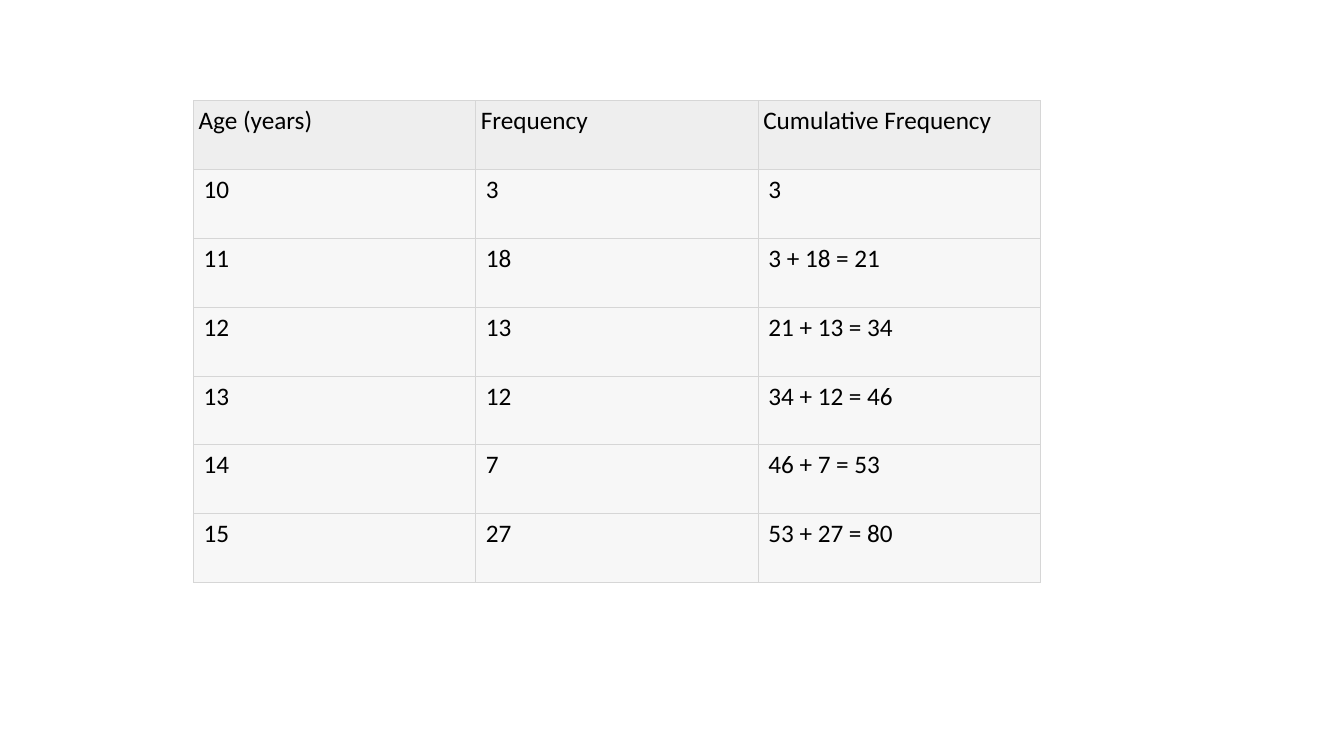
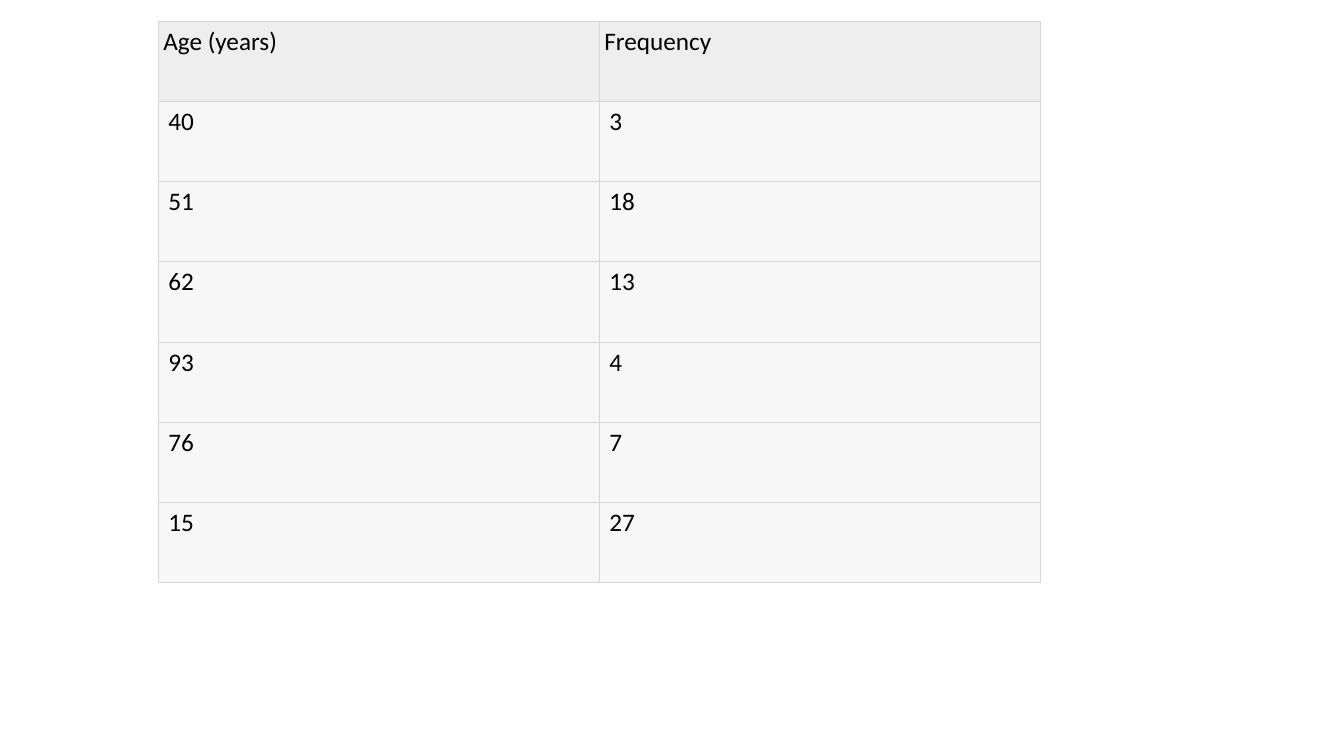
import pptx
import pptx.dml.color
import pptx.oxml
import pptx.util
from pptx.oxml.ns import nsdecls

Inches = pptx.util.Inches
Pt = pptx.util.Pt

COLORS = {
    "header": "EEEEEE",
    "body": "F7F7F7",
    "border": "D6D6D6",
    "text": "000000",
}
FONT_FORMAT = {"name": "Calibri", "size": Pt(18), "bold": False}
HEADER_MARGINS = {
    f"margin_{side}": Inches(0.05) for side in ("left", "right", "top", "bottom")
}
PLAIN_TABLE = {"first_row": False, "horz_banding": False}
BORDER_WIDTH = Pt(0.75)
BLANK_LAYOUT = 6

CUMULATIVE_ROWS = [
    ("Age (years)", "Frequency", "Cumulative Frequency"),
    ("10", "3", "3"),
    ("11", "18", "3 + 18 = 21"),
    ("12", "13", "21 + 13 = 34"),
    ("13", "12", "34 + 12 = 46"),
    ("14", "7", "46 + 7 = 53"),
    ("15", "27", "53 + 27 = 80"),
]
FREQUENCY_ROWS = [
    ("Age (years)", "Frequency"),
    ("40", "3"),
    ("51", "18"),
    ("62", "13"),
    ("93", "4"),
    ("76", "7"),
    ("15", "27"),
]


def rgb(name):
    return pptx.dml.color.RGBColor.from_string(COLORS[name])


def apply_format(target, values):
    for attribute, value in values.items():
        setattr(target, attribute, value)


def add_borders(cell):
    """Outline all four sides; call before filling, as the schema puts lines first."""
    properties = cell._tc.get_or_add_tcPr()
    for side in ("lnL", "lnR", "lnT", "lnB"):
        properties.append(pptx.oxml.parse_xml(
            f'<a:{side} {nsdecls("a")} w="{BORDER_WIDTH}"><a:solidFill>'
            f'<a:srgbClr val="{COLORS["border"]}"/></a:solidFill></a:{side}>'
        ))


def fill_cell(cell, text, is_header):
    add_borders(cell)
    cell.fill.solid()
    cell.fill.fore_color.rgb = rgb("header" if is_header else "body")
    if is_header:
        apply_format(cell, HEADER_MARGINS)
    run = cell.text_frame.paragraphs[0].add_run()
    run.text = text
    apply_format(run.font, FONT_FORMAT)
    run.font.color.rgb = rgb("text")


def add_table_slide(presentation, rows, left, top, width, height):
    """Add a slide with one table of equal rows and columns; sizes in inches."""
    slide = presentation.slides.add_slide(presentation.slide_layouts[BLANK_LAYOUT])
    box = [Inches(length) for length in (left, top, width, height)]
    table = slide.shapes.add_table(len(rows), len(rows[0]), *box).table
    apply_format(table, PLAIN_TABLE)
    for row_index, row in enumerate(rows):
        for column_index, text in enumerate(row):
            fill_cell(table.cell(row_index, column_index), text, row_index == 0)


def main():
    presentation = pptx.Presentation()
    presentation.slide_width = Inches(13.33)
    presentation.slide_height = Inches(7.5)
    add_table_slide(presentation, CUMULATIVE_ROWS, 1.92, 1, 8.4, 4.78)
    add_table_slide(presentation, FREQUENCY_ROWS, 1.57, 0.21, 8.75, 5.57)
    presentation.save("out.pptx")


if __name__ == "__main__":
    main()
